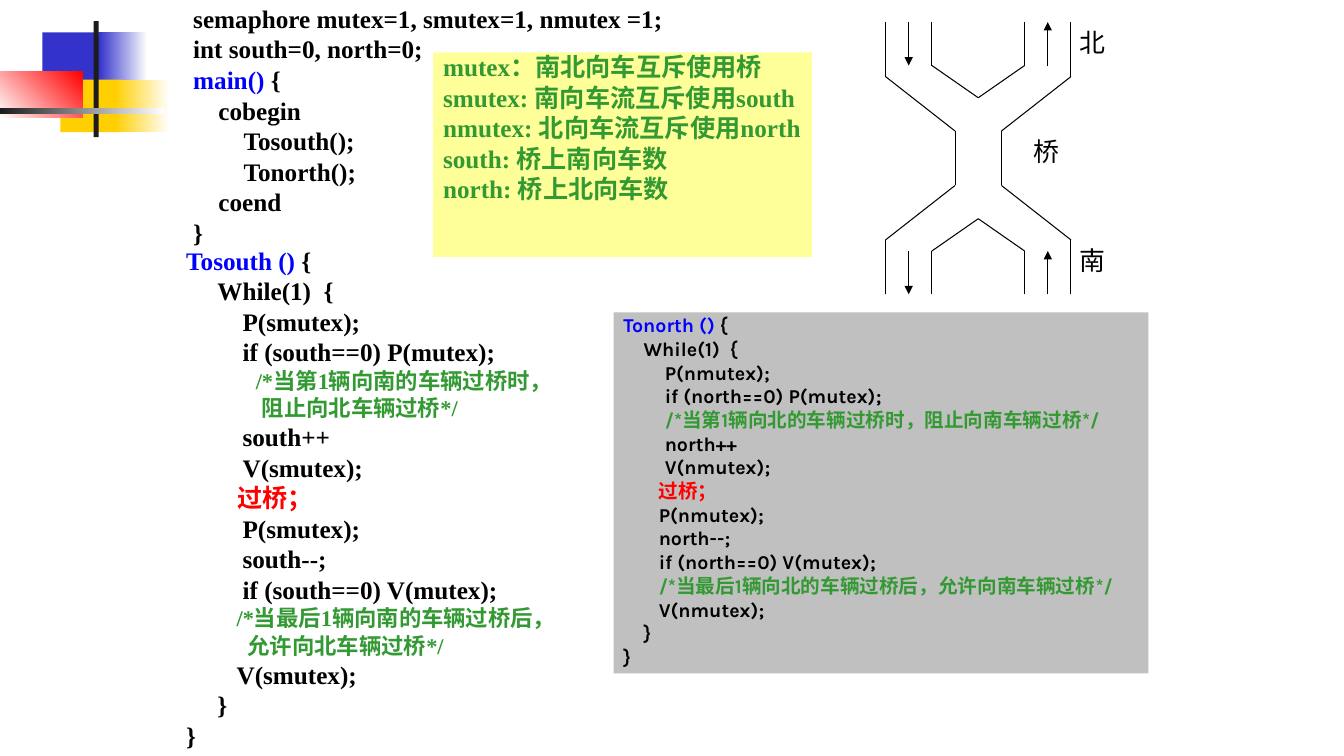
from dataclasses import dataclass
from itertools import product

from lxml.etree import SubElement
from pptx import Presentation
from pptx.dml.color import RGBColor
from pptx.enum.shapes import MSO_CONNECTOR, MSO_SHAPE
from pptx.enum.text import MSO_ANCHOR, MSO_AUTO_SIZE, PP_ALIGN
from pptx.oxml.ns import qn
from pptx.util import Inches, Pt

BLACK, WHITE, BLUE, GREEN, RED = "000000", "FFFFFF", "0000FF", "339933", "FF0000"
NAVY, GOLD, DARK = "3333CC", "FFCF01", "1C1C1C"
SERIF, SANS = "Times New Roman", "Karla"


@dataclass
class Bar:
    """A rectangle of the corner ornament, faded when it has a second colour."""
    left: float
    top: float
    width: float
    height: float
    color: str
    fade_to: str = ""
    angle: float = 0


@dataclass
class Line:
    """A line of text, with an optional blue name in front."""
    text: str
    indent: float = 0
    color: str = BLACK
    size: float = 0
    name: str = ""


@dataclass
class Panel:
    left: float
    top: float
    width: float
    height: float
    lines: list[Line]
    fill: str = ""
    font: str = SERIF
    size: float = 18
    wrap: bool = False
    anchor: MSO_ANCHOR = MSO_ANCHOR.MIDDLE


ORNAMENT = [
    Bar(0.42, 0.32, 0.64, 0.52, NAVY),
    Bar(0.98, 0.32, 0.48, 0.52, NAVY, WHITE),
    Bar(0.6, 0.79, 0.61, 0.52, GOLD),
    Bar(1.14, 0.79, 0.54, 0.52, GOLD, WHITE),
    Bar(0, 0.71, 0.82, 0.46, WHITE, RED, 45),
    Bar(0.93, 0.21, 0.05, 1.15, DARK),
    Bar(0, 1.07, 1.63, 0.06, DARK, WHITE),
]

MAIN_CODE = [
    Line("semaphore mutex=1, smutex=1, nmutex =1;"),
    Line("int south=0, north=0;"),
    Line(" {", name="main()"),
    Line("cobegin", 0.25),
    Line("Tosouth();", 0.5),
    Line("Tonorth();", 0.5),
    Line("coend", 0.25),
    Line("}"),
]

SOUTH_CODE = [
    Line(" {", name="Tosouth ()"),
    Line("While(1)  {", 0.31),
    Line("P(smutex);", 0.56),
    Line("if (south==0) P(mutex);", 0.56),
    Line("/*当第1辆向南的车辆过桥时，", 0.69, GREEN, 16),
    Line("阻止向北车辆过桥*/", 0.75, GREEN, 16),
    Line("south++", 0.56),
    Line("V(smutex);", 0.56),
    Line("过桥；", 0.51, RED),
    Line("P(smutex);", 0.56),
    Line("south--;", 0.56),
    Line("if (south==0) V(mutex);", 0.56),
    Line("/*当最后1辆向南的车辆过桥后，", 0.5, GREEN, 16),
    Line("允许向北车辆过桥*/", 0.61, GREEN, 16),
    Line("V(smutex);", 0.5),
    Line("}", 0.31),
    Line("}"),
]

NORTH_CODE = [
    Line(" {", name="Tonorth ()"),
    Line("While(1)  {", 0.2),
    Line("P(nmutex);", 0.41),
    Line("if (north==0) P(mutex);", 0.41),
    Line("/*当第1辆向北的车辆过桥时，阻止向南车辆过桥*/", 0.41, GREEN),
    Line("north++", 0.41),
    Line("V(nmutex);", 0.41),
    Line("过桥；", 0.35, RED),
    Line("P(nmutex);", 0.35),
    Line("north--;", 0.35),
    Line("if (north==0) V(mutex);", 0.35),
    Line("/*当最后1辆向北的车辆过桥后，允许向南车辆过桥*/", 0.35, GREEN),
    Line("V(nmutex);", 0.35),
    Line("}", 0.2),
    Line("}"),
]

LEGEND = [Line(text, color=GREEN) for text in (
    "mutex：南北向车互斥使用桥",
    "smutex: 南向车流互斥使用south",
    "nmutex: 北向车流互斥使用north",
    "south: 桥上南向车数",
    "north: 桥上北向车数",
)]

PANELS = [
    Panel(1.82, 0.04, 4.86, 2.46, MAIN_CODE, WHITE),
    Panel(1.75, 2.41, 4.02, 5.11, SOUTH_CODE),
    Panel(6.09, 3.1, 5.31, 3.58, NORTH_CODE, "C0C0C0", SANS, 14),
    Panel(4.3, 0.52, 3.76, 2.03, LEGEND, "FFFF99", wrap=True, anchor=MSO_ANCHOR.TOP),
]

# Road lines of one quadrant, as offsets from the centre of the bridge
CENTER_X, CENTER_Y = 9.71, 1.57
ROAD_END, LANE_START = 1.35, 0.92
QUADRANT = [
    ((0.92, ROAD_END), (0.92, 0.81)),
    ((0.92, 0.81), (0.23, 0.27)),
    ((0.46, ROAD_END), (0.46, LANE_START)),
    ((0.46, LANE_START), (0, 0.6)),
]
LABELS = [("桥", 10.16, 1.41), ("北", 10.62, 0.32), ("南", 10.62, 2.49)]


def rgb(color: str) -> RGBColor:
    return RGBColor.from_string(color)


def add_box(page, left: float, top: float, width: float, height: float, fill: str = ""):
    area = [Inches(value) for value in (left, top, width, height)]
    if not fill:
        return page.shapes.add_textbox(*area)
    box = page.shapes.add_shape(MSO_SHAPE.RECTANGLE, *area)
    box.shadow.inherit = False
    box.fill.solid()
    box.fill.fore_color.rgb = rgb(fill)
    box.line.fill.background()
    return box


def add_span(para, text: str, *, size: float, color: str, font: str = SERIF,
             bold: bool = False) -> None:
    span = para.add_run()
    span.text = text
    span.font.name, span.font.size, span.font.bold = font, Pt(size), bold
    span.font.color.rgb = rgb(color)


def draw_bar(page, bar: Bar) -> None:
    box = add_box(page, bar.left, bar.top, bar.width, bar.height, bar.color)
    if bar.fade_to:
        box.fill.gradient()
        box.fill.gradient_angle = bar.angle
        for stop, color, position in zip(box.fill.gradient_stops, (bar.color, bar.fade_to), (0, 1)):
            stop.color.rgb, stop.position = rgb(color), position


def draw_road(page, start: tuple, end: tuple, arrow: bool = False) -> None:
    """Join two points given as offsets from the centre of the bridge."""
    points = [Inches(base + offset) for point in (start, end)
              for base, offset in zip((CENTER_X, CENTER_Y), point)]
    road = page.shapes.add_connector(MSO_CONNECTOR.STRAIGHT, *points)
    road.line.color.rgb, road.line.width = rgb(BLACK), Pt(0.75)
    if arrow:
        SubElement(road.line._get_or_add_ln(), qn("a:tailEnd"), type="triangle")
    SubElement(road._element.spPr, qn("a:effectLst"))


def draw_panel(page, panel: Panel) -> None:
    box = add_box(page, panel.left, panel.top, panel.width, panel.height, panel.fill)
    frame = box.text_frame
    frame.word_wrap, frame.vertical_anchor = panel.wrap, panel.anchor
    frame.auto_size = MSO_AUTO_SIZE.SHAPE_TO_FIT_TEXT
    for index, line in enumerate(panel.lines):
        para = frame.add_paragraph() if index else frame.paragraphs[0]
        size = line.size or panel.size
        para.alignment, para.line_spacing, para.space_before = PP_ALIGN.LEFT, 0.8, Pt(size / 4)
        para._p.get_or_add_pPr().set("marL", str(Inches(line.indent)))
        for text, color in ((line.name, BLUE), (line.text, line.color)):
            if text:
                add_span(para, text, size=size, color=color, font=panel.font, bold=True)


def draw_label(page, text: str, left: float, top: float) -> None:
    frame = add_box(page, left, top, 0.69, 0.32).text_frame
    frame.word_wrap = True
    para = frame.paragraphs[0]
    para.alignment, para.line_spacing, para.space_before = PP_ALIGN.JUSTIFY, 0.6, Pt(5)
    add_span(para, text, size=18.5, color=BLACK)


def main() -> None:
    deck = Presentation()
    deck.slide_width, deck.slide_height = Inches(13.34), Inches(7.5)
    page = deck.slides.add_slide(deck.slide_layouts[6])

    # Corner ornament
    for bar in ORNAMENT:
        draw_bar(page, bar)

    # Bridge: four mirrored quadrants, two sides, and the lane arrows
    for side, half in product((-1, 1), repeat=2):
        for start, end in QUADRANT:
            draw_road(page, (side * start[0], half * start[1]), (side * end[0], half * end[1]))
    for side in (-1, 1):
        draw_road(page, (side * 0.23, -0.27), (side * 0.23, 0.27))
        for ends in ((-ROAD_END, -LANE_START), (LANE_START, ROAD_END)):
            first, last = ends[::-side]
            draw_road(page, (side * 0.69, first), (side * 0.69, last), arrow=True)
    for label in LABELS:
        draw_label(page, *label)

    # Code and legend
    for panel in PANELS:
        draw_panel(page, panel)
    deck.save("out.pptx")


if __name__ == "__main__":
    main()
